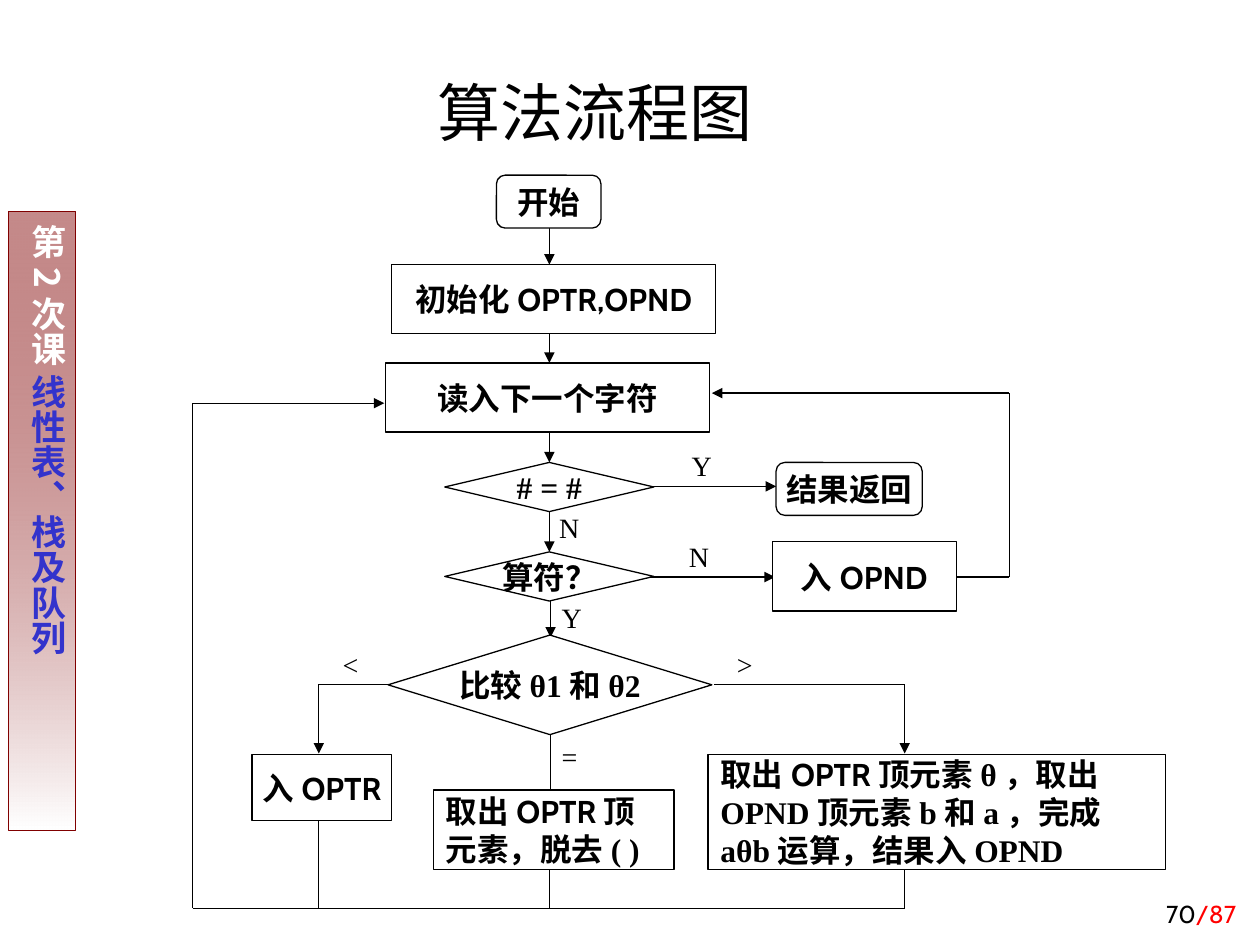
from lxml import etree
from pptx import Presentation
from pptx import util as u
from pptx.dml.color import RGBColor
from pptx.enum import shapes, text
from pptx.oxml.ns import qn

PX = 9144  # EMU per px, 100 px to the inch
BLACK = RGBColor(0x00, 0x00, 0x00)
WHITE = RGBColor(0xFF, 0xFF, 0xFF)
RED = RGBColor(0xFF, 0x00, 0x00)
MAROON = RGBColor(0x80, 0x00, 0x00)
INDIGO = RGBColor(0x33, 0x33, 0xCC)
CABIN, TIMES, CJK = "Cabin", "Times New Roman", "Noto Sans CJK SC"
RECT = shapes.MSO_SHAPE.RECTANGLE
ROUND = shapes.MSO_SHAPE.ROUNDED_RECTANGLE
DIAMOND = shapes.MSO_SHAPE.DIAMOND
LEFT, CENTER, RIGHT = text.PP_ALIGN.LEFT, text.PP_ALIGN.CENTER, text.PP_ALIGN.RIGHT
TOP, MIDDLE, BOTTOM = text.MSO_ANCHOR.TOP, text.MSO_ANCHOR.MIDDLE, text.MSO_ANCHOR.BOTTOM


def px(*lengths):
    return [u.Emu(length * PX) for length in lengths]


def write(shape, spans, size=18, bold=False, align=CENTER, anchor=MIDDLE,
          wrap=False, margins=(10, 5, 10, 5)):
    """Fill a shape with one paragraph of (text, font, colour) spans."""
    frame = shape.text_frame
    frame.word_wrap = wrap
    frame.auto_size = text.MSO_AUTO_SIZE.NONE
    frame.vertical_anchor = anchor
    (frame.margin_left, frame.margin_top,
     frame.margin_right, frame.margin_bottom) = px(*margins)
    para = frame.paragraphs[0]
    para.alignment = align
    for words, font, colour in spans:
        span = para.add_run()
        span.text = words
        span.font.name = font
        span.font.size = u.Pt(size)
        span.font.bold = bold
        span.font.color.rgb = colour
        east = etree.SubElement(span.font._element, qn("a:ea"))
        east.set("typeface", CJK)


def add_block(page, kind, box, line):
    block = page.shapes.add_shape(kind, *px(*box))
    block.shadow.inherit = False
    block.line.color.rgb = line
    block.line.width = u.Pt(0.75)
    return block


def add_line(page, start, end, arrow=False):
    line = page.shapes.add_connector(shapes.MSO_CONNECTOR.STRAIGHT, *px(*start, *end))
    line.line.color.rgb = BLACK
    line.line.width = u.Pt(0.75)
    etree.SubElement(line._element.spPr, qn("a:effectLst"))
    if arrow:
        tail = etree.SubElement(line.line._get_or_add_ln(), qn("a:tailEnd"))
        tail.set("type", "triangle")


def build_sidebar(page, box):
    strip = add_block(page, RECT, box, MAROON)
    strip.fill.gradient()
    strip.fill.gradient_angle = 270
    first, last = strip.fill.gradient_stops
    first.position, first.color.rgb = 0, MAROON
    last.position, last.color.rgb = 1, WHITE
    for colour in first._gs.iter(qn("a:srgbClr")):
        etree.SubElement(colour, qn("a:alpha")).set("val", "46000")
    write(strip, [("第2次课 ", CJK, WHITE), ("线性表、栈及队列", CJK, INDIGO)],
          size=20, bold=True, anchor=TOP, wrap=True, margins=(5, 10, 5, 10))
    strip.text_frame._txBody.bodyPr.set("vert", "eaVert")


def build_title(page, box):
    title = page.shapes.title
    title.left, title.top, title.width, title.height = px(*box)
    write(title, [("算法流程图", CABIN, BLACK)], size=36, anchor=BOTTOM, wrap=True)


def build_page_number(page, box):
    number = page.shapes.add_textbox(*px(*box))
    write(number, [("70", CABIN, BLACK), ("/87", CABIN, RED)],
          size=14, align=RIGHT, anchor=BOTTOM, wrap=True)


def build_flowchart(page, left, top):
    def at(x, y):
        return left + x, top + y

    axis, base = 286, 591           # main column and return line
    push, reduce, back = 103, 568, 651  # side columns

    # Arrows down the main column
    for x, start, end in ((axis, 48, 80), (axis, 127, 158), (axis, 205, 237),
                          (axis, 276, 308), (axis + 1, 344, 376),
                          (axis + 1, 451, 506)):
        add_line(page, at(x, start), at(x, end), arrow=True)

    # Branches: points of each path, the last leg with an arrowhead
    for path in (((367, 256), (466, 256)),
                 ((365, 328), (465, 328)),
                 ((609, 328), (back, 328), (back, 182), (415, 182)),
                 ((161, 413), (push, 413), (push, 468)),
                 ((417, 413), (reduce, 413), (reduce, 468)),
                 ((reduce, base), (3, base), (3, 190), (155, 190))):
        for start, end in zip(path, path[1:]):
            add_line(page, at(*start), at(*end), arrow=end == path[-1])

    # Drops to the return line
    for x, start in ((push, 521), (axis, 560), (reduce, 560)):
        add_line(page, at(x, start), at(x, base))

    # Nodes with one centred line
    for kind, x, y, width, height, words, font in (
            (ROUND, 244, 9, 83, 42, "开始", CABIN),
            (RECT, 161, 80, 257, 55, "初始化OPTR,OPND", CABIN),
            (RECT, 156, 158, 257, 55, "读入下一个字符", CABIN),
            (DIAMOND, 203, 237, 166, 39, "# = #", TIMES),
            (ROUND, 466, 237, 116, 42, "结果返回", CABIN),
            (DIAMOND, 203, 308, 166, 39, "算符？", TIMES),
            (RECT, 463, 300, 146, 55, "入OPND", CABIN),
            (DIAMOND, 158, 374, 257, 79, "比较θ1和θ2", TIMES),
            (RECT, 50, 469, 111, 52, "入OPTR", CABIN)):
        node = add_block(page, kind, (*at(x, y), width, height), BLACK)
        node.fill.solid()
        node.fill.fore_color.rgb = WHITE
        write(node, [(words, font, BLACK)], bold=True)

    # Nodes with wrapped text
    for x, y, width, height, opening, rest in (
            (194, 497, 191, 63, "取出OPTR顶元素，", "脱去( )"),
            (412, 469, 363, 91, "取出OPTR顶元素",
             "θ，取出OPND顶元素b和a，完成aθb运算，结果入OPND")):
        node = add_block(page, RECT, (*at(x, y), width, height), BLACK)
        node.fill.solid()
        node.fill.fore_color.rgb = WHITE
        write(node, [(opening, CABIN, BLACK), (rest, TIMES, BLACK)],
              bold=True, align=LEFT, wrap=True)

    # Branch labels
    for x, y, width, words in ((284, 270, 36, "N"), (389, 221, 36, "Y"),
                               (387, 293, 36, "N"), (286, 342, 36, "Y"),
                               (112, 379, 32, "<"), (425, 379, 32, ">"),
                               (286, 452, 32, "=")):
        label = page.shapes.add_textbox(*px(*at(x, y), width, 37))
        write(label, [(words, TIMES, BLACK)], size=16, align=LEFT, anchor=TOP)


def main():
    deck = Presentation()
    deck.slide_width, deck.slide_height = px(1000, 750)
    page = deck.slides.add_slide(deck.slide_layouts[5])
    build_sidebar(page, (7, 168, 53, 491))
    build_title(page, (169, 44, 606, 79))
    build_page_number(page, (783, 692, 208, 50))
    build_flowchart(page, 150, 130)
    deck.save("out.pptx")


if __name__ == "__main__":
    main()
